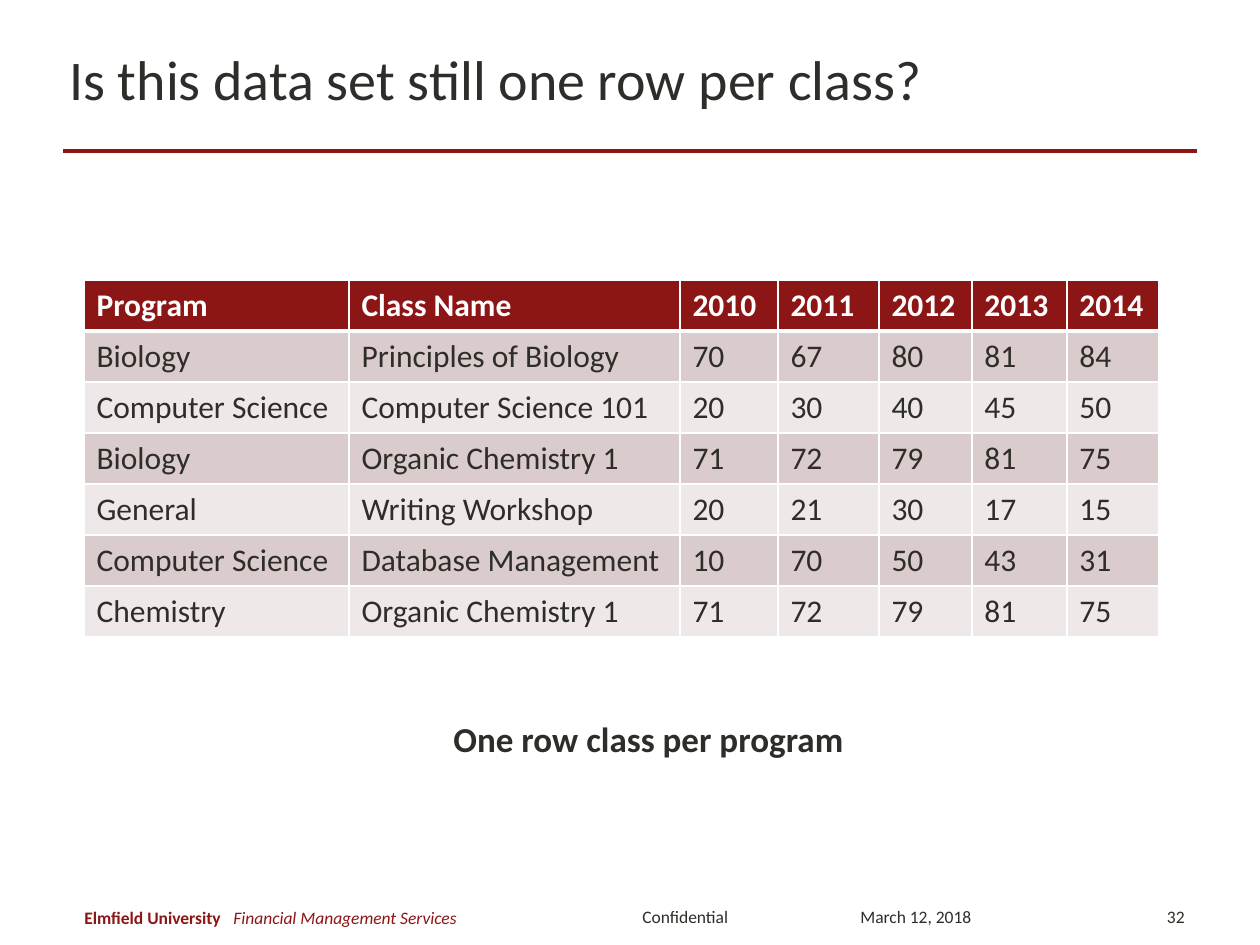
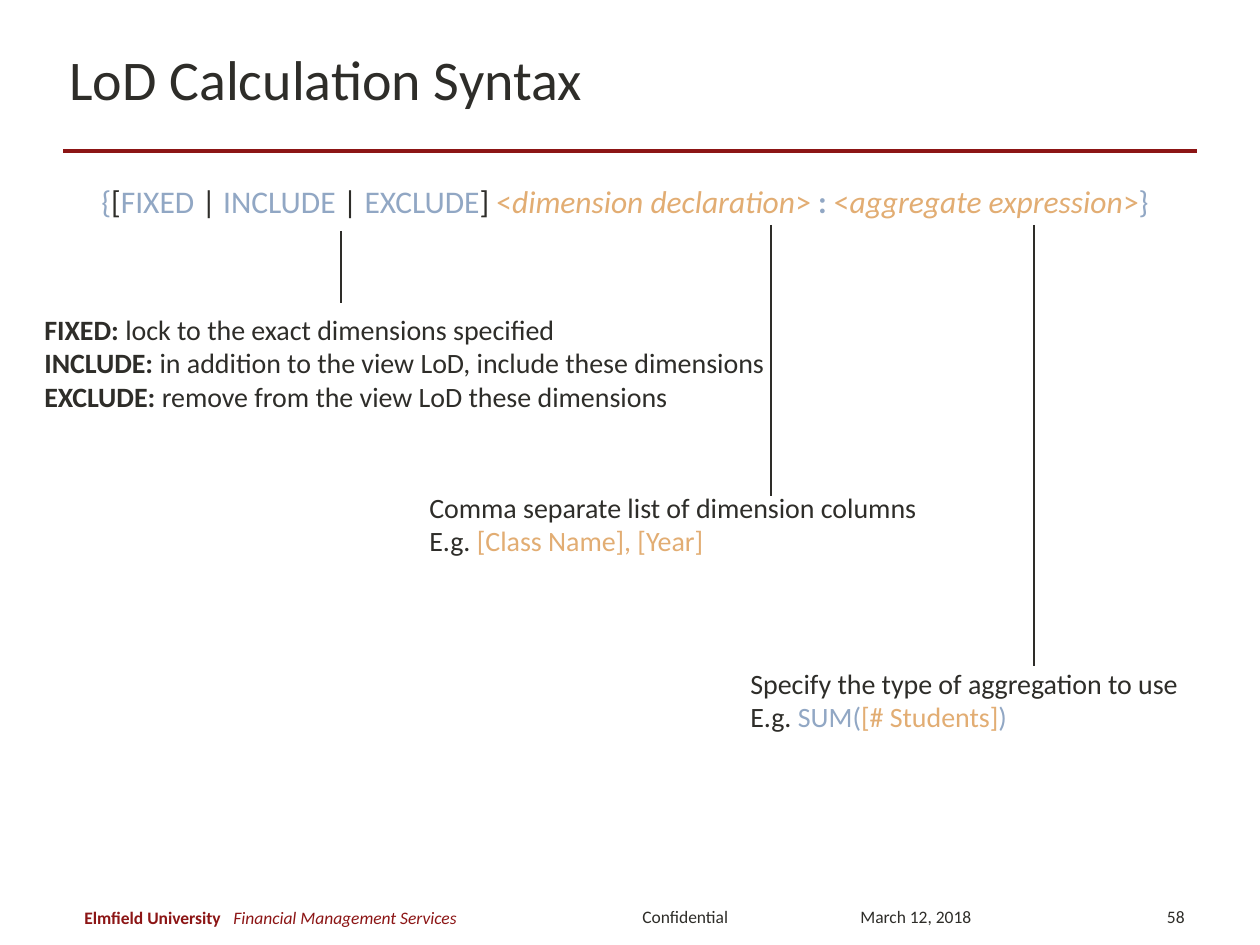
from dataclasses import dataclass

from lxml import etree
from pptx import Presentation
from pptx.dml.color import RGBColor
from pptx.enum import shapes, text
from pptx.oxml import ns
from pptx.util import Emu, Pt

EMU_PER_PX = 914400 / 126


@dataclass(frozen=True)
class Theme:
    font: str = "Calibri"
    ink: str = "2E2D29"
    cardinal: str = "8C1515"
    white: str = "FFFFFF"
    keyword: str = "91A7C4"
    argument: str = "E2AD73"
    bands: tuple = ("DACCCC", "EEE8E8")
    title_size: int = 32
    answer_size: int = 20
    body_size: int = 18
    note_size: int = 16
    footer_size: int = 10
    rule_width: float = 2.25
    callout_width: float = 0.75


def px(length):
    return Emu(round(length * EMU_PER_PX))


def rgb(value):
    return RGBColor.from_string(value)


def add_run(paragraph, words, *, size, color, font, bold=False, italic=False):
    run = paragraph.add_run()
    run.text = words
    run.font.name = font
    run.font.size = Pt(size)
    run.font.bold = bold
    run.font.italic = italic
    run.font.color.rgb = rgb(color)


class Deck:
    def __init__(self, theme):
        self.theme = theme
        self.presentation = Presentation()
        self.presentation.slide_width = px(1260)
        self.presentation.slide_height = px(945)
        self.slide = None

    def new_slide(self, title, number):
        t = self.theme
        blank = self.presentation.slide_layouts[6]
        self.slide = self.presentation.slides.add_slide(blank)
        self.slide.background.fill.solid()
        self.slide.background.fill.fore_color.rgb = rgb(t.white)

        # Title and rule
        self.line((63, 151), (1197, 151), color=t.cardinal, width=t.rule_width)
        self.label(title, (57, 23, 1134, 110), size=t.title_size, middle=True)

        # Footer
        footer = dict(size=t.footer_size, middle=True)
        self.label("Elmfield University", (72, 900, 168, 34), color=t.cardinal,
                   bold=True, wrap=False, **footer)
        self.label("Financial Management Services", (221, 893, 399, 50),
                   color=t.cardinal, italic=True, **footer)
        self.label("Confidential", (630, 892, 129, 50), **footer)
        self.label("March 12, 2018", (848, 892, 174, 50), **footer)
        self.label(str(number), (1113, 892, 84, 50),
                   align=text.PP_ALIGN.RIGHT, **footer)

    def label(self, content, box, *, size, color=None, bold=False, italic=False,
              align=text.PP_ALIGN.LEFT, middle=False, wrap=True):
        """Content is a string, or a list of lines made of (words, format) runs."""
        frame = self.slide.shapes.add_textbox(*map(px, box)).text_frame
        frame.word_wrap = wrap
        if not wrap:
            frame.auto_size = text.MSO_AUTO_SIZE.SHAPE_TO_FIT_TEXT
        frame.vertical_anchor = text.MSO_ANCHOR.MIDDLE if middle else text.MSO_ANCHOR.TOP
        base = dict(size=size, color=color or self.theme.ink, bold=bold,
                    italic=italic, font=self.theme.font)
        lines = [[(content, {})]] if isinstance(content, str) else content
        for index, runs in enumerate(lines):
            paragraph = frame.add_paragraph() if index else frame.paragraphs[0]
            paragraph.alignment = align
            for words, changes in runs:
                add_run(paragraph, words, **{**base, **changes})

    def line(self, start, end, *, color, width):
        connector = self.slide.shapes.add_connector(
            shapes.MSO_CONNECTOR.STRAIGHT, *map(px, (*start, *end)))
        connector.line.color.rgb = rgb(color)
        connector.line.width = Pt(width)
        etree.SubElement(connector._element.spPr, ns.qn("a:effectLst"))

    def table(self, rows, origin, column_widths, row_height):
        t = self.theme
        size = (sum(column_widths), row_height * len(rows))
        table = self.slide.shapes.add_table(
            len(rows), len(column_widths), *map(px, (*origin, *size))).table
        table.horz_banding = False
        for column, width in zip(table.columns, column_widths):
            column.width = px(width)
        for r, values in enumerate(rows):
            table.rows[r].height = px(row_height)
            header = r == 0
            for c, value in enumerate(values):
                cell = table.cell(r, c)
                cell.fill.solid()
                cell.fill.fore_color.rgb = rgb(t.cardinal if header else t.bands[(r - 1) % 2])
                add_run(cell.text_frame.paragraphs[0], str(value), size=t.body_size,
                        color=t.white if header else t.ink, font=t.font, bold=header)
                self.borders(cell, top=3 if r == 1 else 1, bottom=3 if header else 1)

    def borders(self, cell, *, top, bottom):
        properties = cell._tc.get_or_add_tcPr()
        sides = (("L", 1), ("R", 1), ("T", top), ("B", bottom))
        for index, (side, width) in enumerate(sides):
            border = etree.Element(ns.qn(f"a:ln{side}"), w=str(Pt(width)))
            fill = etree.SubElement(border, ns.qn("a:solidFill"))
            etree.SubElement(fill, ns.qn("a:srgbClr"), val=self.theme.white)
            properties.insert(index, border)


def class_table_slide(deck):
    deck.new_slide("Is this data set still one row per class?", 32)
    classes = [
        ("Program", "Class Name", 2010, 2011, 2012, 2013, 2014),
        ("Biology", "Principles of Biology", 70, 67, 80, 81, 84),
        ("Computer Science", "Computer Science 101", 20, 30, 40, 45, 50),
        ("Biology", "Organic Chemistry 1", 71, 72, 79, 81, 75),
        ("General", "Writing Workshop", 20, 21, 30, 17, 15),
        ("Computer Science", "Database Management", 10, 70, 50, 43, 31),
        ("Chemistry", "Organic Chemistry 1", 71, 72, 79, 81, 75),
    ]
    deck.table(classes, (84, 280), (265, 331, 98, 101, 93, 95, 92), 51)
    deck.label("One row class per program", (441, 711, 436, 86),
               size=deck.theme.answer_size, bold=True)


def syntax_slide(deck):
    t = deck.theme
    deck.new_slide("LoD Calculation Syntax", 58)
    plain, bold = {}, {"bold": True}
    keyword, argument = {"color": t.keyword}, {"color": t.argument}
    placeholder = {**argument, "italic": True}

    # Syntax line
    syntax = [
        ("{", keyword), ("[", plain), ("FIXED ", keyword), ("| ", plain),
        ("INCLUDE", keyword), (" | ", plain), ("EXCLUDE", keyword), ("] ", plain),
        ("<", argument), ("dimension declaration", placeholder), ("> ", argument),
        (": ", {**keyword, **bold}),
        ("<", argument), ("aggregate expression", placeholder), (">", argument),
        ("}", keyword),
    ]
    deck.label([syntax], (58, 176, 1134, 66), size=t.body_size,
               align=text.PP_ALIGN.CENTER)

    # Explanations
    scopes = [
        ("FIXED: ", "lock to the exact dimensions specified"),
        ("INCLUDE: ", "in addition to the view LoD, include these dimensions"),
        ("EXCLUDE: ", "remove from the view LoD these dimensions"),
    ]
    scope_lines = [[(name, bold), (meaning, plain)] for name, meaning in scopes]
    dimension_lines = [
        [("Comma separate list of dimension columns", plain)],
        [("E.g. ", plain), ("[Class Name], [Year]", argument)],
    ]
    aggregation_lines = [
        [("Specify the type of aggregation to use", plain)],
        [("E.g. ", plain), ("SUM(", keyword), ("[# Students]", argument), (")", keyword)],
    ]
    for lines, box in (
        (scope_lines, (32, 306, 769, 115)),
        (dimension_lines, (417, 484, 518, 81)),
        (aggregation_lines, (738, 660, 459, 81)),
    ):
        deck.label(lines, box, size=t.note_size, wrap=False)

    # Callout lines
    for x, top, bottom in ((341, 231, 303), (771, 225, 496), (1034, 225, 666)):
        deck.line((x, top), (x, bottom), color=t.ink, width=t.callout_width)


def main():
    deck = Deck(Theme())
    class_table_slide(deck)
    syntax_slide(deck)
    deck.presentation.save("out.pptx")


if __name__ == "__main__":
    main()
